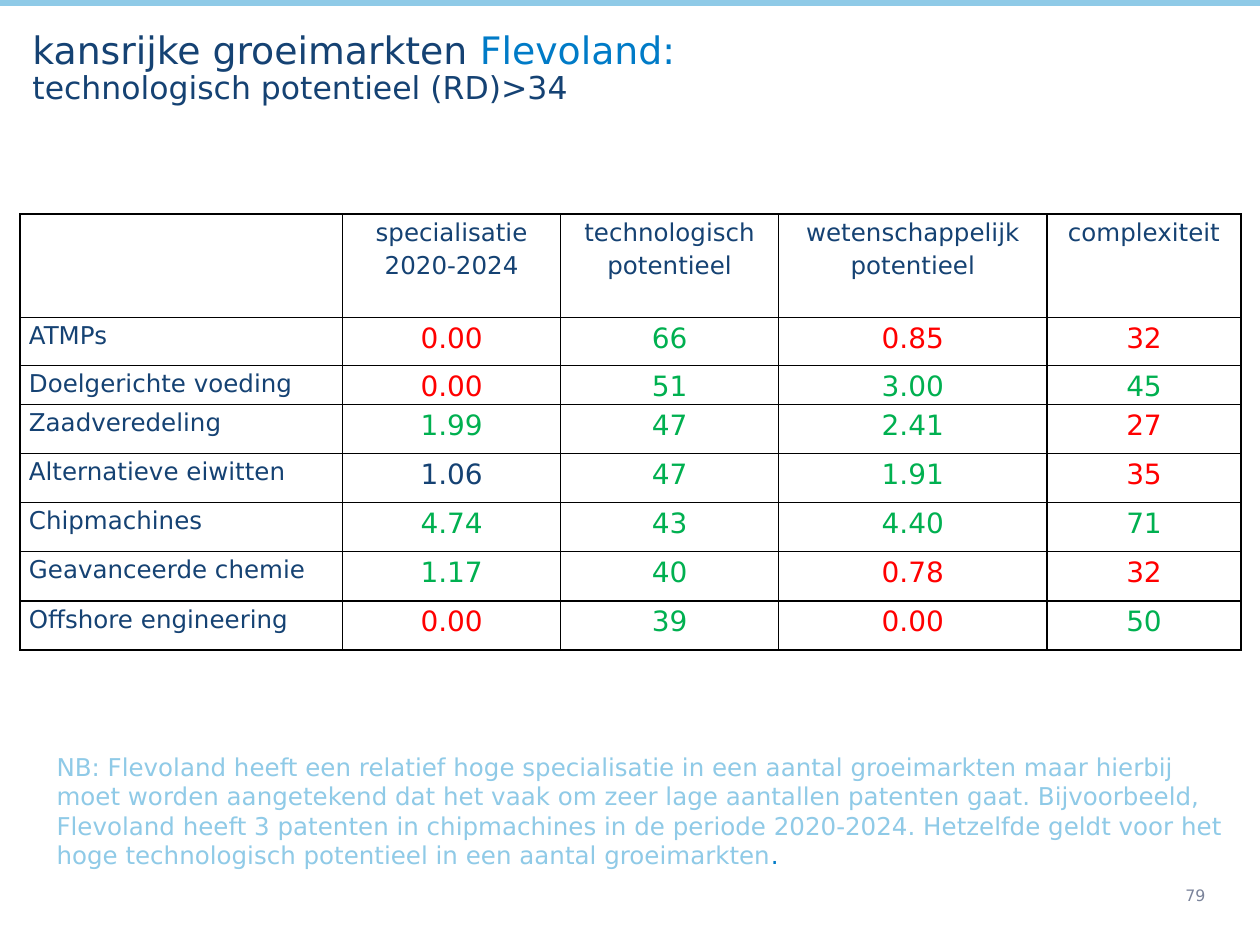
from dataclasses import dataclass

from pptx import Presentation
from pptx import util as u
from pptx.dml.color import RGBColor
from pptx.enum import shapes, text
from pptx.oxml import parse_xml
from pptx.oxml.ns import nsdecls

FONT = "DejaVu Sans"
HUES = {
    "navy": "154273",
    "blue": "007BC7",
    "sky": "8FCAE7",
    "gray": "7A839A",
    "red": "FF0000",
    "green": "00B050",
    "black": "000000",
}
TONES = {"r": "red", "g": "green", "n": "navy"}


@dataclass
class Piece:
    words: str
    size: float
    hue: str


@dataclass
class Market:
    name: str
    values: list[str]
    tones: str


HEADS = ["", "specialisatie 2020-2024", "technologisch potentieel",
         "wetenschappelijk potentieel", "complexiteit"]
WIDTHS = [2.56, 1.73, 1.73, 2.13, 1.54]
HEIGHTS = [0.82, 0.38, 0.31] + [0.39] * 5
MARKETS = [
    Market("ATMPs", ["0.00", "66", "0.85", "32"], "rgrr"),
    Market("Doelgerichte voeding", ["0.00", "51", "3.00", "45"], "rggg"),
    Market("Zaadveredeling", ["1.99", "47", "2.41", "27"], "gggr"),
    Market("Alternatieve eiwitten", ["1.06", "47", "1.91", "35"], "nggr"),
    Market("Chipmachines", ["4.74", "43", "4.40", "71"], "gggg"),
    Market("Geavanceerde chemie", ["1.17", "40", "0.78", "32"], "ggrr"),
    Market("Offshore engineering", ["0.00", "39", "0.00", "50"], "rgrg"),
]
NOTE = (
    "NB: Flevoland heeft een relatief hoge specialisatie in een aantal "
    "groeimarkten maar hierbij moet worden aangetekend dat het vaak om zeer "
    "lage aantallen patenten gaat. Bijvoorbeeld, Flevoland heeft 3 patenten "
    "in chipmachines in de periode 2020-2024. Hetzelfde geldt voor het hoge "
    "technologisch potentieel in een aantal groeimarkten"
)


def paint(font, size: float, hue: str) -> None:
    font.name = FONT
    font.size = u.Pt(size)
    font.color.rgb = RGBColor.from_string(HUES[hue])


def add_text(slide, box: tuple, lines: list[list[Piece]], anchor,
             pitch: float = 1.0) -> None:
    frame = slide.shapes.add_textbox(*map(u.Inches, box)).text_frame
    frame.word_wrap = True
    frame.vertical_anchor = anchor
    para = frame.paragraphs[0]
    para.line_spacing = pitch
    for index, line in enumerate(lines):
        if index:
            para.add_line_break()
        for piece in line:
            run = para.add_run()
            run.text = piece.words
            paint(run.font, piece.size, piece.hue)


def add_edges(cell) -> None:
    props = cell._tc.get_or_add_tcPr()
    for index, side in enumerate(("lnL", "lnR", "lnT", "lnB")):
        props.insert(index, parse_xml(
            f'<a:{side} {nsdecls("a")} w="{u.Pt(1)}"><a:solidFill>'
            f'<a:srgbClr val="{HUES["black"]}"/></a:solidFill></a:{side}>'))


def fill_cell(cell, piece: Piece, align) -> None:
    cell.fill.background()
    cell.margin_left = cell.margin_right = u.Inches(0.07)
    cell.margin_top = cell.margin_bottom = 0
    add_edges(cell)
    cell.text_frame.text = piece.words
    para = cell.text_frame.paragraphs[0]
    para.alignment = align
    para.line_spacing = 1.15
    para.space_after = u.Pt(10)
    for run in para.runs:
        paint(run.font, piece.size, piece.hue)


def add_grid(slide) -> None:
    rows = [[Piece(head, 14, "navy") for head in HEADS]]
    for market in MARKETS:
        rows.append([Piece(market.name, 14, "navy")] + [
            Piece(value, 16, TONES[tone])
            for value, tone in zip(market.values, market.tones)])
    table = slide.shapes.add_table(
        len(rows), len(HEADS), u.Inches(0.16), u.Inches(1.7),
        u.Inches(sum(WIDTHS)), u.Inches(sum(HEIGHTS))).table
    table.first_row = table.horz_banding = False
    for column, width in zip(table.columns, WIDTHS):
        column.width = u.Inches(width)
    for row, height, pieces in zip(table.rows, HEIGHTS, rows):
        row.height = u.Inches(height)
        for index, (cell, piece) in enumerate(zip(row.cells, pieces)):
            align = text.PP_ALIGN.CENTER if index else text.PP_ALIGN.LEFT
            fill_cell(cell, piece, align)


def add_bar(slide) -> None:
    bar = slide.shapes.add_shape(
        shapes.MSO_SHAPE.RECTANGLE, 0, 0, u.Inches(10), u.Inches(0.04))
    bar.shadow.inherit = False
    bar.fill.solid()
    bar.fill.fore_color.rgb = RGBColor.from_string(HUES["sky"])
    bar.line.color.rgb = RGBColor.from_string(HUES["sky"])
    bar.line.width = u.Pt(0.75)


def main() -> None:
    deck = Presentation()
    deck.slide_width, deck.slide_height = u.Inches(10), u.Inches(7.5)
    slide = deck.slides.add_slide(deck.slide_layouts[6])
    top, middle = text.MSO_ANCHOR.TOP, text.MSO_ANCHOR.MIDDLE
    add_bar(slide)
    add_text(slide, (0.16, 0.2, 9.8, 0.71), [
        [Piece("kansrijke groeimarkten ", 21.6, "navy"),
         Piece("Flevoland:", 21.6, "blue")],
        [Piece("technologisch potentieel (RD)>34", 18, "navy")],
    ], top, 0.9)
    add_grid(slide)
    add_text(slide, (0.35, 5.92, 9.49, 1.03),
             [[Piece(NOTE, 14, "sky"), Piece(".", 14, "blue")]], middle)
    add_text(slide, (9.31, 6.9, 0.68, 0.41),
             [[Piece("79", 9, "gray")]], middle)
    deck.save("out.pptx")


if __name__ == "__main__":
    main()
